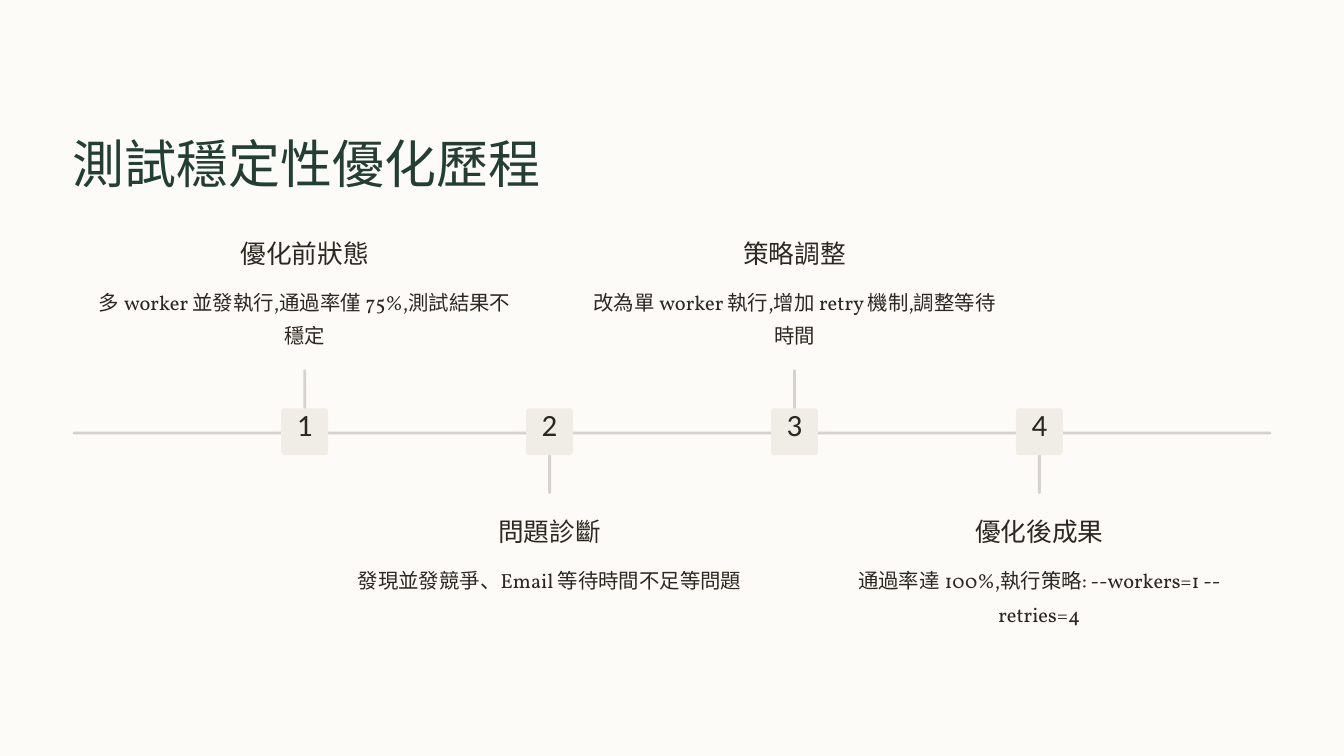
import pptx
import pptx.dml.color
import pptx.enum.shapes
import pptx.enum.text
import pptx.util

Pt = pptx.util.Pt
rgb = pptx.dml.color.RGBColor.from_string
ALIGN = pptx.enum.text.PP_ALIGN
INK, RULE, TILE, PAPER, GREEN = "2C2821", "D6D3CC", "F0EDE6", "FCFBF8", "233E32"
FORMATS = {
    "title": {"name": "Calibri", "size": 44.5, "spacing": 55.5, "color": GREEN, "align": ALIGN.LEFT},
    "number": {"name": "Calibri", "size": 26.5, "spacing": 26.5, "color": INK, "align": ALIGN.CENTER},
    "heading": {"name": "Calibri", "size": 22, "spacing": 27.5, "color": INK, "align": ALIGN.CENTER},
    "detail": {"name": "Vollkorn", "size": 17.5, "spacing": 28.5, "color": INK, "align": ALIGN.CENTER},
}
STEPS = [
    ("優化前狀態", "多 worker 並發執行,通過率僅 75%,測試結果不穩定"),
    ("問題診斷", "發現並發競爭、Email 等待時間不足等問題"),
    ("策略調整", "改為單 worker 執行,增加 retry 機制,調整等待時間"),
    ("優化後成果", "通過率達 100%,執行策略: --workers=1 --retries=4"),
]
FIRST_CENTER, STEP_GAP = 261.2, 209.9
AXIS_TOP, BAR, STEM = 370, 2.4, 53.3
TILE_TOP, TILE_SIZE = 350, 40.2


def write(shape, text, kind, top_inset=0):
    style = FORMATS[kind]
    frame = shape.text_frame
    frame_values = {
        "margin_left": 0, "margin_right": 0, "margin_bottom": 0, "margin_top": Pt(top_inset),
        "word_wrap": True, "auto_size": pptx.enum.text.MSO_AUTO_SIZE.NONE,
        "vertical_anchor": pptx.enum.text.MSO_ANCHOR.TOP,
    }
    for name, value in frame_values.items():
        setattr(frame, name, value)
    para = frame.paragraphs[0]
    para.alignment = style["align"]
    para.line_spacing = Pt(style["spacing"])
    span = para.add_run()
    span.text = text
    for name, value in {"name": style["name"], "size": Pt(style["size"]), "bold": False}.items():
        setattr(span.font, name, value)
    span.font.color.rgb = rgb(style["color"])


def add_block(left, top, width, height, color, rounding):
    block = slide.shapes.add_shape(
        pptx.enum.shapes.MSO_SHAPE.ROUNDED_RECTANGLE, Pt(left), Pt(top), Pt(width), Pt(height))
    block.adjustments[0] = rounding
    block.shadow.inherit = False
    block.fill.solid()
    block.fill.fore_color.rgb = rgb(color)
    block.line.fill.background()
    return block


deck = pptx.Presentation()
deck.slide_width, deck.slide_height = Pt(1152), Pt(648)
slide = deck.slides.add_slide(deck.slide_layouts[5])
slide.background.fill.solid()
slide.background.fill.fore_color.rgb = rgb(PAPER)

title = slide.shapes.title
for name, value in {"left": 62.4, "top": 111, "width": 446.4, "height": 56}.items():
    setattr(title, name, Pt(value))
write(title, "測試穩定性優化歷程", "title")

add_block(62.6, AXIS_TOP, 1026.8, BAR, RULE, 0.5)

for index, (heading, detail) in enumerate(STEPS):
    center = FIRST_CENTER + index * STEP_GAP
    above = index % 2 == 0

    stem_top = AXIS_TOP - STEM if above else AXIS_TOP
    add_block(center - BAR / 2, stem_top, BAR, STEM, RULE, 0.5)
    tile = add_block(center - TILE_SIZE / 2, TILE_TOP, TILE_SIZE, TILE_SIZE, TILE, 0.067)
    write(tile, str(index + 1), "number", top_inset=2.3)

    heading_top = 202.8 if above else 441.2
    detail_top = 241 if above else 479.8
    for text, kind, top, width, height in (
        (heading, "heading", heading_top, 223.2, 28),
        (detail, "detail", detail_top, 361.4, 57),
    ):
        box = slide.shapes.add_textbox(Pt(center - width / 2), Pt(top), Pt(width), Pt(height))
        write(box, text, kind)

deck.save("out.pptx")
